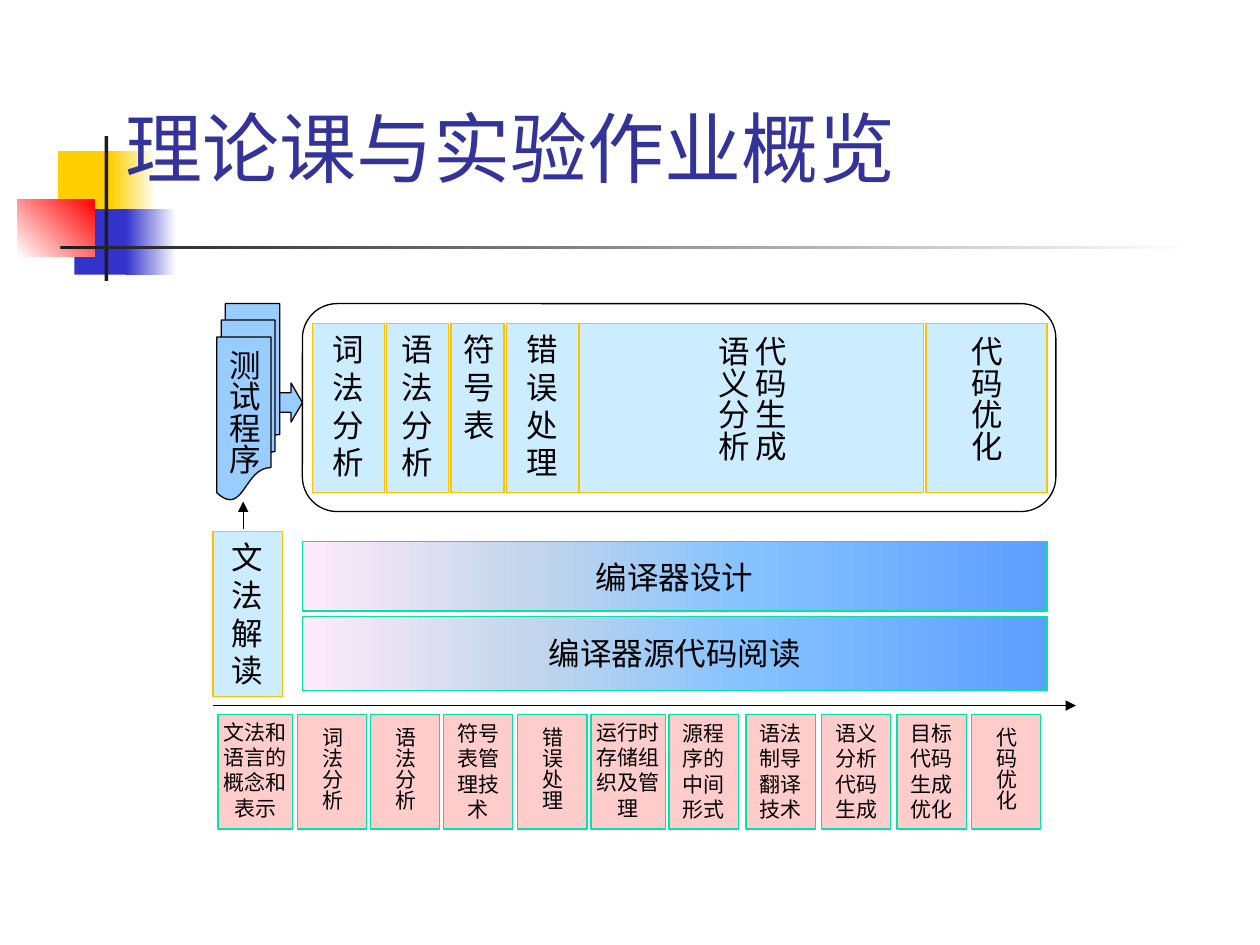
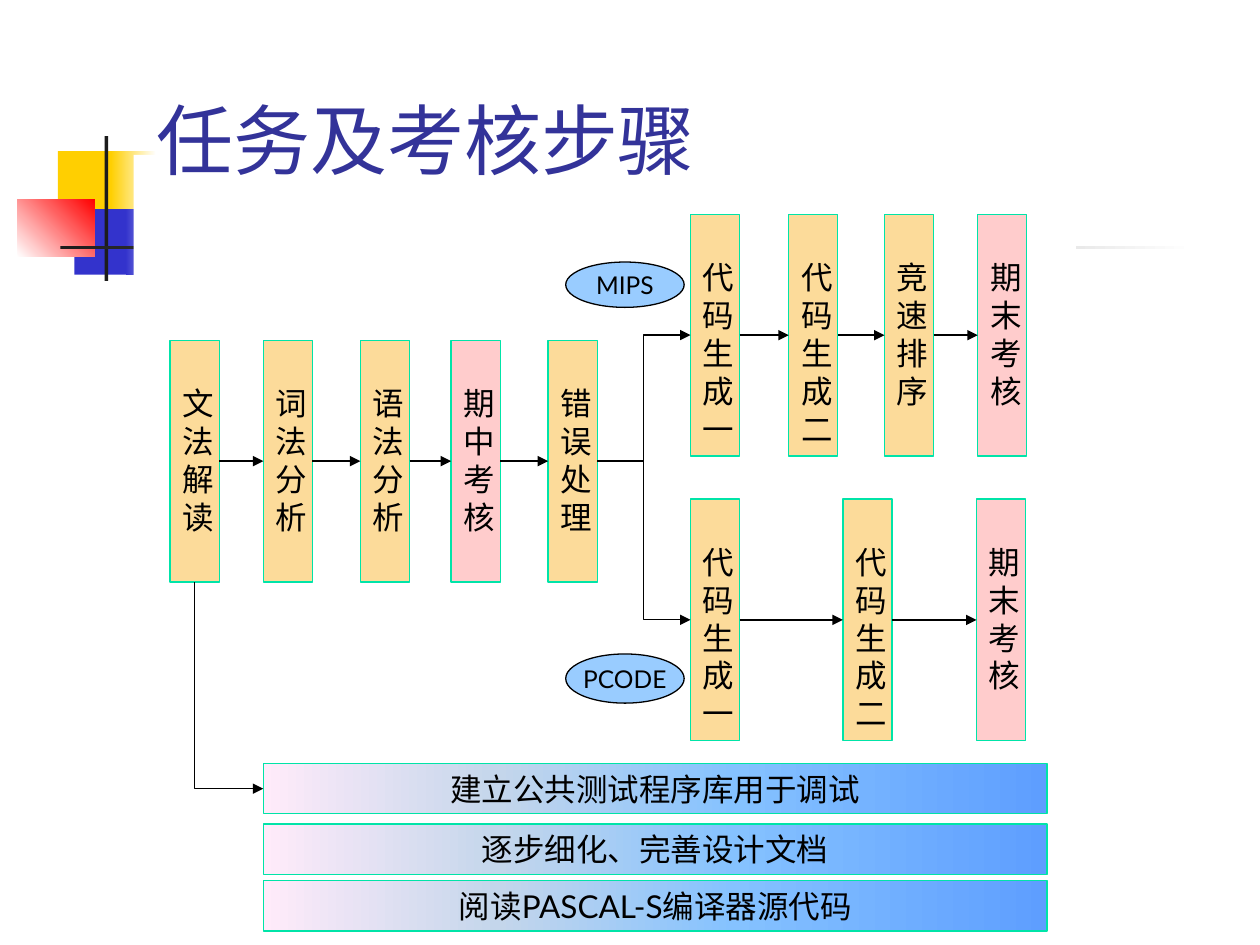
from lxml import etree
from pptx import Presentation
from pptx.dml.color import RGBColor
from pptx.enum.shapes import MSO_CONNECTOR as LINK, MSO_SHAPE as SHAPE
from pptx.enum.text import MSO_ANCHOR as ANCHOR, PP_ALIGN as ALIGN
from pptx.oxml.ns import qn
from pptx.util import Inches, Pt

FONT = "Lato"
WHITE = RGBColor(0xFF, 0xFF, 0xFF)
BLACK = RGBColor(0x00, 0x00, 0x00)
CHARCOAL = RGBColor(0x1C, 0x1C, 0x1C)
NAVY = RGBColor(0x33, 0x33, 0x99)
INDIGO = RGBColor(0x33, 0x33, 0xCC)
YELLOW = RGBColor(0xFF, 0xCF, 0x01)
RED = RGBColor(0xFF, 0x00, 0x00)
AMBER = RGBColor(0xFF, 0xC0, 0x00)
MINT = RGBColor(0x00, 0xE4, 0xA8)
PALE_BLUE = RGBColor(0xCC, 0xEC, 0xFF)
SKY = RGBColor(0x99, 0xCC, 0xFF)
PINK = RGBColor(0xFF, 0xCC, 0xCC)
SAND = RGBColor(0xFC, 0xDB, 0x9A)

# Gradients: counter-clockwise angle, then (percent, colour) stops
BAR_FADE = (180, [(0, RGBColor(0x5E, 0x9E, 0xFF)), (40, RGBColor(0x85, 0xC2, 0xFF)),
                  (70, RGBColor(0xC4, 0xD6, 0xEB)), (100, RGBColor(0xFF, 0xEB, 0xFA))])


def fade(start, end, angle=0):
    return angle, [(0, start), (100, end)]


# Corner emblem and rule behind every title
EMBLEM = [
    (0.46, 1.2, 0.48, 0.52, YELLOW),
    (0.88, 1.2, 0.36, 0.52, fade(YELLOW, WHITE)),
    (0.59, 1.66, 0.46, 0.52, INDIGO),
    (1, 1.66, 0.4, 0.52, fade(INDIGO, WHITE)),
    (0.14, 1.58, 0.61, 0.46, fade(WHITE, RED, 45)),
    (0.83, 1.08, 0.03, 1.15, CHARCOAL),
    (0.48, 1.95, 9, 0.03, fade(CHARCOAL, WHITE)),
]


class Deck:
    def __init__(self):
        self.prs = Presentation()
        self.prs.slide_width, self.prs.slide_height = Inches(10), Inches(7.5)
        self.slide = None

    def new_slide(self):
        self.slide = self.prs.slides.add_slide(self.prs.slide_layouts[6])
        for *place, fill in EMBLEM:
            self.shape(place, fill)

    def title(self, left, top, text):
        box = self.slide.shapes.add_textbox(*map(Inches, (left, top, 8.52, 0.92)))
        self.set_text(box, text, 44, NAVY, ALIGN.LEFT, ANCHOR.BOTTOM)

    def set_text(self, shape, text, size, color=BLACK, align=ALIGN.CENTER,
                 anchor=ANCHOR.TOP, vertical=False, wrap=True, side=0.1, top=0.05):
        frame = shape.text_frame
        frame.text = text
        frame.word_wrap = wrap
        frame.vertical_anchor = anchor
        frame.margin_left = frame.margin_right = Inches(side)
        frame.margin_top = Inches(top)
        if vertical:
            frame._txBody.bodyPr.set("vert", "eaVert")
        paragraph = frame.paragraphs[0]
        paragraph.alignment = align
        for run in paragraph.runs:
            run.font.size, run.font.name = Pt(size), FONT
            run.font.color.rgb = color
            run._r.get_or_add_rPr().set("lang", "zh-CN")

    def shape(self, place, fill=None, line=None, text="", size=18,
              kind=SHAPE.RECTANGLE, **text_style):
        shape = self.slide.shapes.add_shape(kind, *map(Inches, place))
        shape.shadow.inherit = False
        if fill is None:
            shape.fill.background()
        elif isinstance(fill, RGBColor):
            shape.fill.solid()
            shape.fill.fore_color.rgb = fill
        else:
            self.gradient(shape, *fill)
        if line is None:
            shape.line.fill.background()
        else:
            shape.line.color.rgb = line
            shape.line.width = Pt(0.75)
        if text:
            self.set_text(shape, text, size, **text_style)
        return shape

    def gradient(self, shape, angle, stops):
        shape.fill.gradient()
        shape.fill.gradient_angle = angle
        stop_list = shape._element.spPr.find(".//" + qn("a:gsLst"))
        for stop in list(stop_list):
            stop_list.remove(stop)
        for percent, color in stops:
            stop = etree.SubElement(stop_list, qn("a:gs"), pos=str(percent * 1000))
            etree.SubElement(stop, qn("a:srgbClr"), val=str(color))

    def bar(self, left, top, width, height, text):
        return self.shape((left, top, width, height), BAR_FADE, MINT, text,
                          anchor=ANCHOR.MIDDLE)

    def step(self, left, top, text, fill=SAND):
        return self.shape((left, top, 0.39, 1.92), fill, MINT, text, top=0.35)

    def arrow(self, start, end, kind=LINK.STRAIGHT, arrowhead="a:tailEnd"):
        link = self.slide.shapes.add_connector(kind, *map(Inches, (*start, *end)))
        link.line.color.rgb = BLACK
        link.line.width = Pt(0.75)
        etree.SubElement(link.line._get_or_add_ln(), qn(arrowhead), type="triangle")
        etree.SubElement(link._element.spPr, qn("a:effectLst"))
        return link

    def join(self, source, target, kind=LINK.STRAIGHT):
        """Arrow from the right side of one step to the left side of the next."""
        link = self.arrow((0, 0), (0, 0), kind)
        link.begin_connect(source, 3)
        link.end_connect(target, 1)

    def flow(self, top, steps):
        """Row of steps, each joined to the next."""
        row = [self.step(left, top, text, fill) for left, text, fill in steps]
        for source, target in zip(row, row[1:]):
            self.join(source, target)
        return row


def build_overview(deck):
    deck.new_slide()
    deck.title(0.9, 0.66, "理论课与实验作业概览")

    # Compiler stages inside the rounded frame
    deck.shape((2.4, 2.41, 5.98, 1.65), line=BLACK, kind=SHAPE.ROUNDED_RECTANGLE)
    column = dict(anchor=ANCHOR.MIDDLE, vertical=True)
    for left, width, text, style in [
        (2.48, 0.57, "词法分析", {}),
        (3.07, 0.49, "语法分析", {}),
        (3.58, 0.42, "符号表", {}),
        (4.02, 0.57, "错误处理", {}),
        (4.6, 2.73, "代码生成语义分析", column),
        (7.35, 0.96, "代码优化", column),
    ]:
        deck.shape((left, 2.57, width, 1.34), PALE_BLUE, AMBER, text, **style)

    # Test programs feeding the compiler
    deck.shape((1.72, 2.41, 0.5, 1.56), SKY, BLACK, "测试程序",
               kind=SHAPE.FLOWCHART_MULTIDOCUMENT, wrap=False, **column)
    deck.shape((2.22, 3.04, 0.18, 0.31), SKY, BLACK, kind=SHAPE.RIGHT_ARROW)
    deck.shape((1.69, 4.22, 0.55, 1.31), PALE_BLUE, AMBER, "文法解读")
    deck.arrow((1.93, 4.2), (1.93, 3.98))

    # Work running alongside
    deck.bar(2.4, 4.3, 5.91, 0.55, "编译器设计")
    deck.bar(2.4, 4.89, 5.91, 0.59, "编译器源代码阅读")

    # Lecture topics on the time line
    deck.arrow((1.69, 5.6), (8.54, 5.6))
    wide = dict(side=0.04, top=0.04)
    for left, width, text, style in [
        (1.73, 0.59, "文法和语言的概念和表示", wide),
        (2.36, 0.55, "词法分析", column),
        (2.94, 0.55, "语法分析", column),
        (3.52, 0.55, "符号表管理技术", {}),
        (4.11, 0.55, "错误处理", column),
        (4.69, 0.59, "运行时存储组织及管理", wide),
        (5.31, 0.55, "源程序的中间形式", {}),
        (5.92, 0.55, "语法制导翻译技术", {}),
        (6.52, 0.55, "语义分析代码生成", {}),
        (7.12, 0.55, "目标代码生成优化", {}),
        (7.71, 0.55, "代码优化", column),
    ]:
        deck.shape((left, 5.67, width, 0.91), PINK, MINT, text, 12, **style)


def build_steps(deck):
    deck.new_slide()
    deck.shape((1.06, 1.23, 7.48, 6.17), WHITE)
    deck.title(1.14, 0.6, "任务及考核步骤")

    # Common steps, then one branch for each target
    common = deck.flow(2.7, [(1.35, "文法解读", SAND), (2.09, "词法分析", SAND),
                             (2.86, "语法分析", SAND), (3.58, "期中考核", PINK),
                             (4.35, "错误处理", SAND)])
    mips = deck.flow(1.7, [(5.48, "代码生成一", SAND), (6.26, "代码生成二", SAND),
                           (7.02, "竞速排序", SAND), (7.76, "期末考核", PINK)])
    pcode = deck.flow(3.96, [(5.48, "代码生成一", SAND), (6.69, "代码生成二", SAND),
                             (7.75, "期末考核", PINK)])
    for branch in (mips, pcode):
        deck.join(common[-1], branch[0], LINK.ELBOW)
    for top, height, target in [(2.08, 0.36, "MIPS"), (5.19, 0.39, "PCODE")]:
        deck.shape((4.49, top, 0.94, height), SKY, BLACK, target, 14,
                   kind=SHAPE.OVAL, anchor=ANCHOR.MIDDLE, wrap=False)

    # Ongoing tasks
    tasks = [deck.bar(2.09, top, 6.22, 0.4, text) for top, text in [
        (6.06, "建立公共测试程序库用于调试"),
        (6.54, "逐步细化、完善设计文档"),
        (6.99, "阅读PASCAL-S编译器源代码"),
    ]]

    # One-bend arrow from the first step down to the test library
    bend = deck.arrow((2.09, 6.26), (1.55, 4.62), LINK.ELBOW, "a:headEnd")
    bend._element.spPr.find(qn("a:prstGeom")).set("prst", "bentConnector2")
    bend.begin_connect(tasks[0], 1)
    bend.end_connect(common[0], 2)


def main():
    deck = Deck()
    build_overview(deck)
    build_steps(deck)
    deck.prs.save("out.pptx")


if __name__ == "__main__":
    main()
